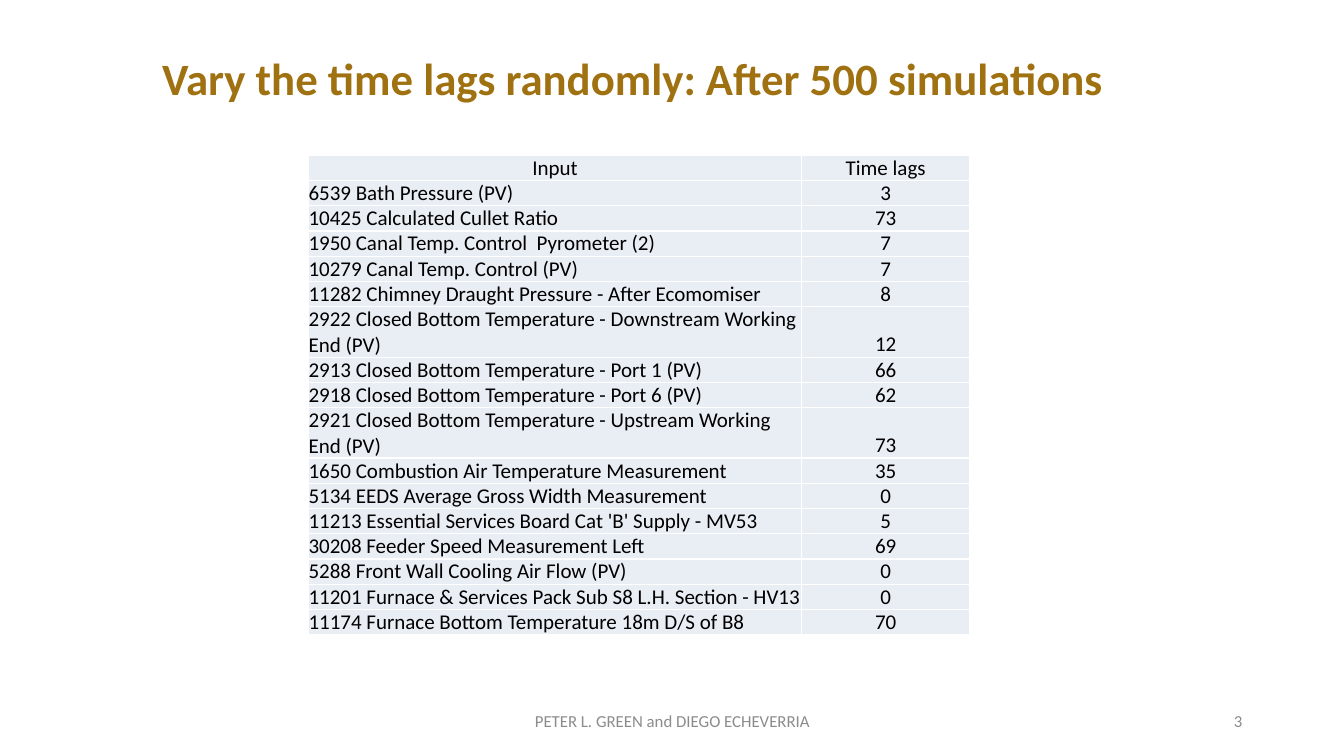
from lxml import etree
from pptx import Presentation
from pptx.dml.color import RGBColor
from pptx.enum.text import MSO_ANCHOR, PP_ALIGN
from pptx.oxml.ns import qn
from pptx.util import Inches, Pt

FONT = "Calibri"
GOLD, GREY, BLACK, WHITE, PALE_BLUE = "A07111", "8C8C8C", "000000", "FFFFFF", "E9EDF4"
COLUMN_WIDTHS = (4.89, 1.67)
LINE_HEIGHT = 0.25
TIME_LAGS = [
    ("6539 Bath Pressure (PV)", 3),
    ("10425 Calculated Cullet Ratio", 73),
    ("1950 Canal Temp. Control  Pyrometer (2)", 7),
    ("10279 Canal Temp. Control (PV)", 7),
    ("11282 Chimney Draught Pressure - After Ecomomiser", 8),
    ("2922 Closed Bottom Temperature - Downstream Working End (PV)", 12),
    ("2913 Closed Bottom Temperature - Port 1 (PV)", 66),
    ("2918 Closed Bottom Temperature - Port 6 (PV)", 62),
    ("2921 Closed Bottom Temperature - Upstream Working End (PV)", 73),
    ("1650 Combustion Air Temperature Measurement", 35),
    ("5134 EEDS Average Gross Width Measurement", 0),
    ("11213 Essential Services Board Cat 'B' Supply - MV53", 5),
    ("30208 Feeder Speed Measurement Left", 69),
    ("5288 Front Wall Cooling Air Flow (PV)", 0),
    ("11201 Furnace & Services Pack Sub S8 L.H. Section - HV13", 0),
    ("11174 Furnace Bottom Temperature 18m D/S of B8", 70),
]


def rgb(color):
    return RGBColor.from_string(color)


def write(tf, text, size, color, align, bold=False):
    tf.text = text
    p = tf.paragraphs[0]
    p.alignment = align
    font = p.runs[0].font
    font.name, font.size, font.bold = FONT, Pt(size), bold
    font.color.rgb = rgb(color)


def add_text(slide, box, text, size, color, align, anchor=MSO_ANCHOR.MIDDLE, bold=False):
    tf = slide.shapes.add_textbox(*map(Inches, box)).text_frame
    tf.word_wrap = True
    tf.vertical_anchor = anchor
    write(tf, text, size, color, align, bold)


def set_borders(cell, color, width):
    tc_pr = cell._tc.get_or_add_tcPr()
    for index, side in enumerate(("lnL", "lnR", "lnT", "lnB")):
        ln = etree.Element(qn(f"a:{side}"), w=str(Pt(width)))
        fill = etree.SubElement(ln, qn("a:solidFill"))
        etree.SubElement(fill, qn("a:srgbClr"), val=color)
        tc_pr.insert(index, ln)


def fill_cell(cell, text, align, anchor):
    cell.margin_left = cell.margin_right = cell.margin_top = cell.margin_bottom = 0
    cell.vertical_anchor = anchor
    cell.fill.solid()
    cell.fill.fore_color.rgb = rgb(PALE_BLUE)
    set_borders(cell, WHITE, 1)
    write(cell.text_frame, text, 15, BLACK, align)


def add_lag_table(slide, left, top):
    rows = [("Input", "Time lags"), *TIME_LAGS]
    table = slide.shapes.add_table(
        len(rows), len(COLUMN_WIDTHS), Inches(left), Inches(top),
        Inches(sum(COLUMN_WIDTHS)), Inches(LINE_HEIGHT * len(rows))).table
    for column, width in zip(table.columns, COLUMN_WIDTHS):
        column.width = Inches(width)
    for r, values in enumerate(rows):
        lines = 2 if values[0].endswith("Working End (PV)") else 1
        table.rows[r].height = Inches(LINE_HEIGHT * lines)
        for c, value in enumerate(values):
            align = PP_ALIGN.LEFT if r and c == 0 else PP_ALIGN.CENTER
            anchor = MSO_ANCHOR.BOTTOM if r else MSO_ANCHOR.TOP
            fill_cell(table.cell(r, c), str(value), align, anchor)


def main():
    prs = Presentation()
    prs.slide_width, prs.slide_height = Inches(13.33), Inches(7.5)
    slide = prs.slides.add_slide(prs.slide_layouts[6])
    add_text(slide, (4.42, 6.95, 4.5, 0.4), "PETER L. GREEN and DIEGO ECHEVERRIA",
             12, GREY, PP_ALIGN.CENTER)
    add_text(slide, (9.42, 6.95, 3, 0.4), "3", 12, GREY, PP_ALIGN.RIGHT)
    add_text(slide, (1.51, 0.45, 9.66, 0.64),
             "Vary the time lags randomly: After 500 simulations",
             32, GOLD, PP_ALIGN.LEFT, MSO_ANCHOR.TOP, bold=True)
    add_lag_table(slide, 3.06, 1.54)
    prs.save("out.pptx")


if __name__ == "__main__":
    main()
